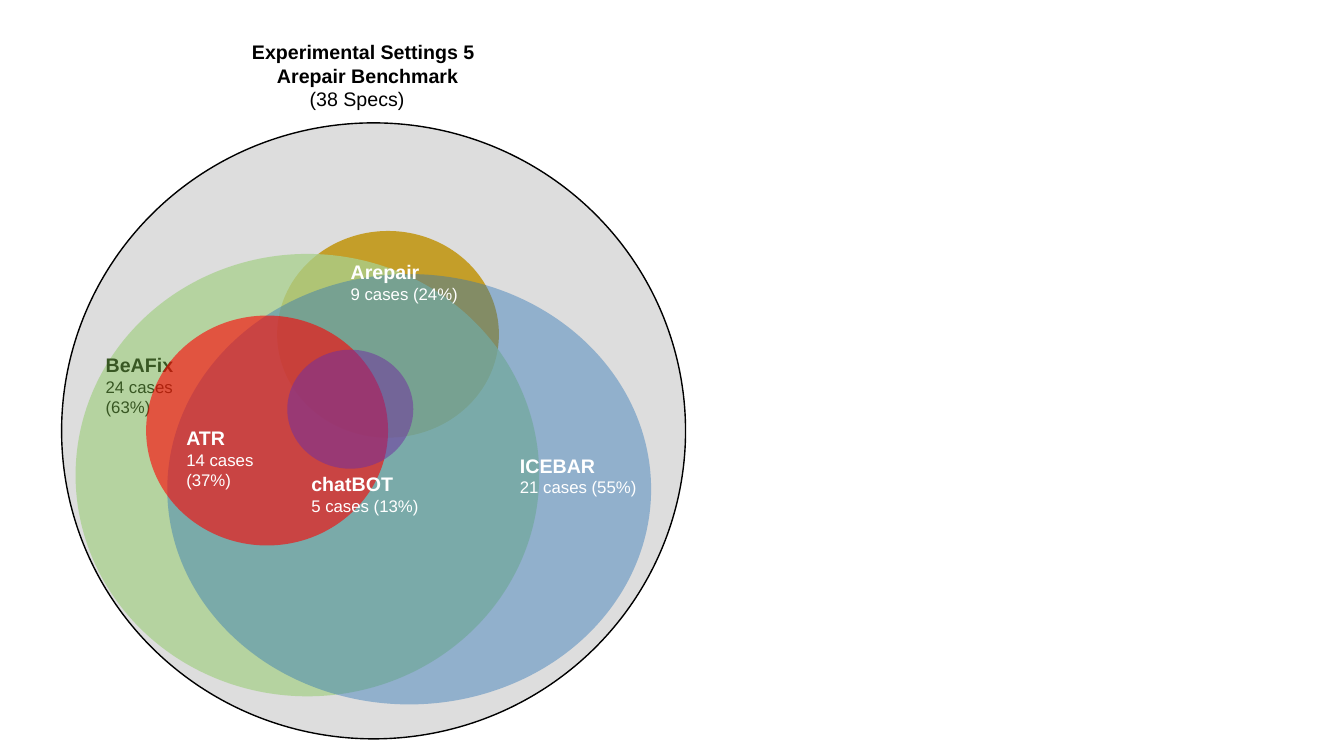
from pptx import Presentation
from pptx.dml.color import RGBColor
from pptx.enum.shapes import MSO_SHAPE
from pptx.enum.text import MSO_ANCHOR, MSO_AUTO_SIZE, PP_ALIGN
from pptx.oxml.ns import qn
from pptx.util import Pt
from lxml import etree


def color(code):
    return RGBColor.from_string(code)


class Venn:
    font = "Arial"
    head = 14
    body = 12
    black = "000000"
    white = "FFFFFF"

    def __init__(self, deck):
        self.slide = deck.slides.add_slide(deck.slide_layouts[5])
        back = self.slide.background.fill
        back.solid()
        back.fore_color.rgb = color(self.white)

    def style(self, para, size, code, bold):
        para.alignment = PP_ALIGN.LEFT
        for run in para.runs:
            run.font.name = self.font
            run.font.size = Pt(size)
            run.font.bold = bold
            run.font.color.rgb = color(code)

    def title(self, text, left, top, width, height):
        box = self.slide.shapes.title
        box.left, box.top = Pt(left), Pt(top)
        box.width, box.height = Pt(width), Pt(height)
        frame = box.text_frame
        frame.text = text
        frame.word_wrap = True
        frame.auto_size = MSO_AUTO_SIZE.NONE
        frame.vertical_anchor = MSO_ANCHOR.TOP
        self.style(frame.paragraphs[0], self.head, self.black, True)

    def circle(self, left, top, width, height, code, alpha, line=None):
        shape = self.slide.shapes.add_shape(
            MSO_SHAPE.OVAL, Pt(left), Pt(top), Pt(width), Pt(height))
        shape.shadow.inherit = False
        shape.fill.solid()
        shape.fill.fore_color.rgb = color(code)
        tint = shape.fill._xPr.find(qn("a:solidFill"))[0]
        etree.SubElement(tint, qn("a:alpha")).set("val", str(alpha * 1000))
        if line:
            shape.line.color.rgb = color(line)
            shape.line.width = Pt(1)
        else:
            shape.line.fill.background()

    def label(self, name, note, left, top, height, code=white, size=body,
              indent=0):
        box = self.slide.shapes.add_textbox(
            Pt(left), Pt(top), Pt(158.4), Pt(height))
        frame = box.text_frame
        frame.word_wrap = True
        first, second = frame.paragraphs[0], frame.add_paragraph()
        first.text = name
        second.text = note
        self.style(first, self.head, code, True)
        self.style(second, size, code, False)
        if indent:
            second._p.get_or_add_pPr().set("marL", str(Pt(indent)))


def main():
    deck = Presentation()
    deck.slide_width, deck.slide_height = Pt(960), Pt(540)
    venn = Venn(deck)
    venn.title("Experimental Settings 5", 172.8, 25.2, 188, 24.5)
    venn.circle(44, 87.8, 445.7, 440, "BFBFBF", 52, venn.black)
    venn.label("Arepair Benchmark", "(38 Specs)", 190.8, 41.8, 41,
               venn.black, venn.head, 23.3)
    venn.circle(198, 165, 158.4, 147.6, "BF9000", 81)
    venn.circle(54, 181.4, 331.2, 316, "A9D18E", 76)
    venn.label("BeAFix", "24 cases\n(63%)", 68.4, 248.4, 53.3, "385723")
    venn.circle(119.5, 195.8, 345.6, 307.4, "2E75B6", 43)
    venn.circle(104.4, 225.4, 172.8, 164.2, "FF0000", 60)
    venn.label("ATR", "14 cases\n(37%)", 126, 301, 53.3)
    venn.label("ICEBAR", "21 cases (55%)", 364.3, 320.4, 38.9)
    venn.label("chatBOT", "5 cases (13%)", 215.3, 333.4, 38.9)
    venn.label("Arepair", "9 cases (24%)", 243.4, 182.2, 38.9)
    venn.circle(205.2, 249.8, 90, 85, "7030A0", 53)
    deck.save("out.pptx")


if __name__ == "__main__":
    main()
